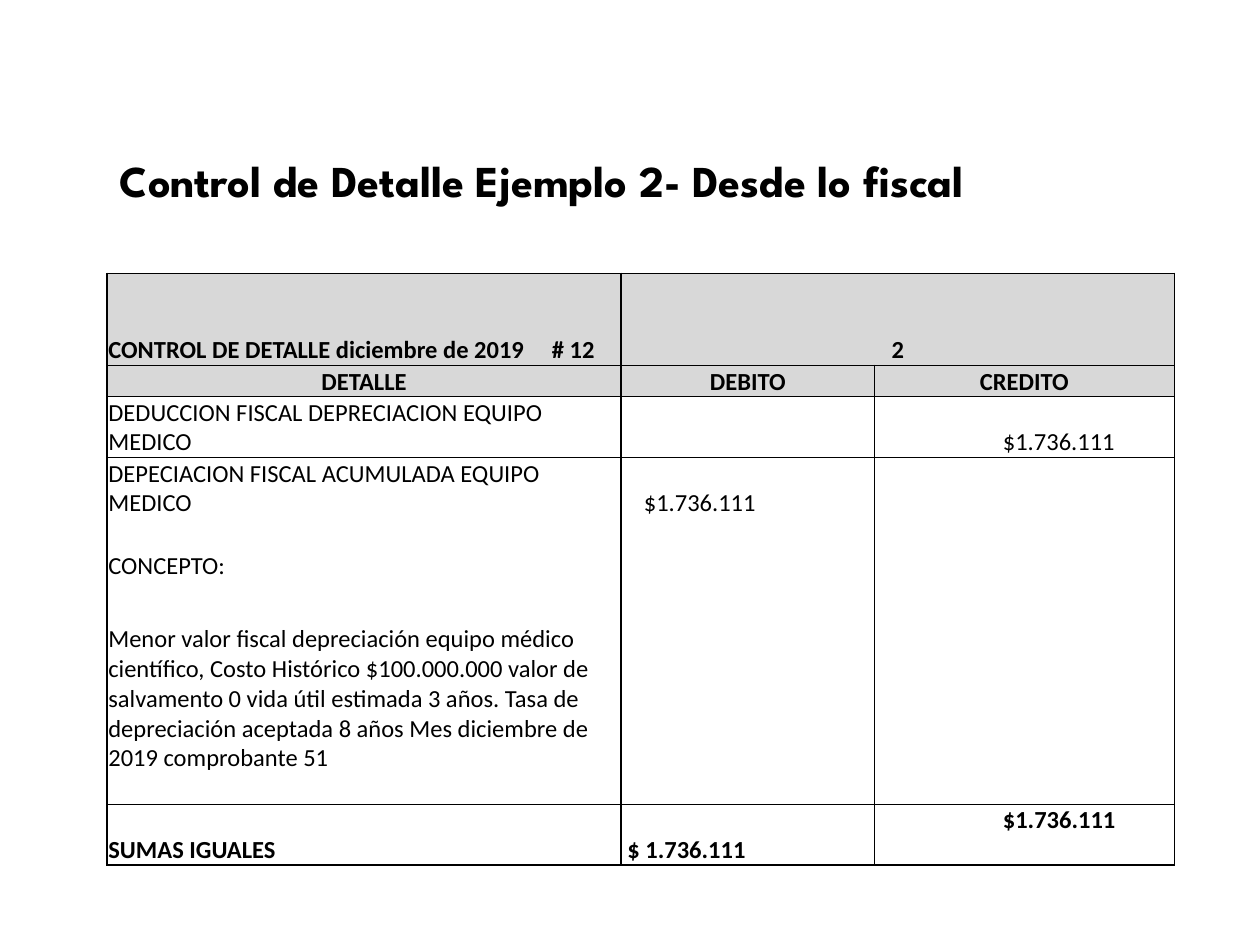
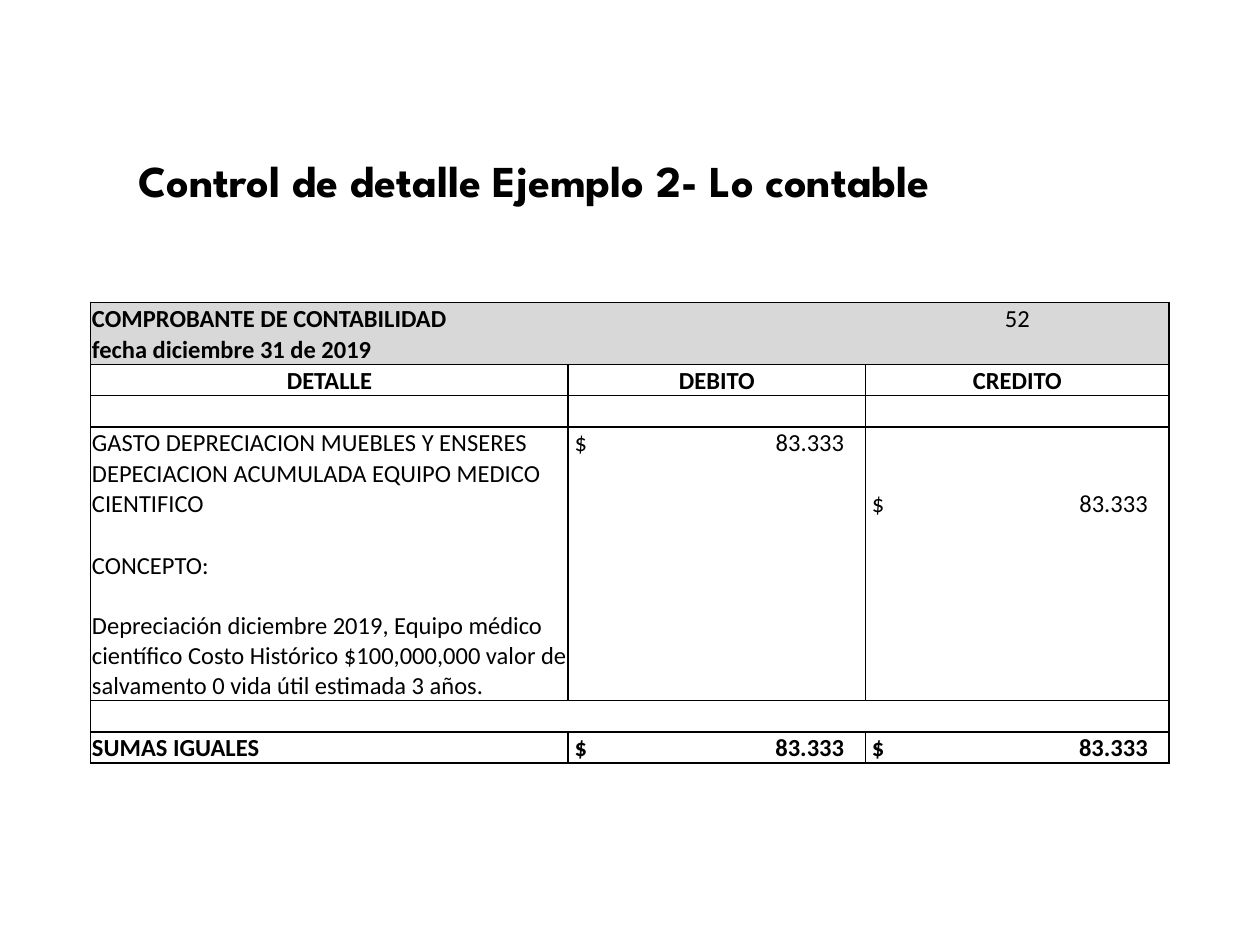
from lxml.etree import SubElement
from pptx import Presentation
from pptx.dml.color import RGBColor
from pptx.enum.text import MSO_ANCHOR, MSO_AUTO_SIZE, PP_ALIGN
from pptx.oxml.ns import qn
from pptx.util import Inches, Pt

COLORS = {"ink": "000000", "head": "D8D8D8"}
FONTS = {"title": "League Spartan", "body": "Calibri"}
PLAIN = "{2D5ABB26-0587-4C30-8999-92F81FD0307C}"
LINE = 0.24
PAIR = 2 * LINE


def write(frame, text, size=14, font="body", bold=False, align=PP_ALIGN.LEFT,
          space=None, tab=None, side="l"):
    """Fill a text frame; tab is a stop in inches, side its alignment."""
    para = frame.paragraphs[0]
    para.alignment = align
    if space:
        para.line_spacing = space
    if tab:
        stops = SubElement(para._p.get_or_add_pPr(), qn("a:tabLst"))
        SubElement(stops, qn("a:tab"), pos=str(Inches(tab)), algn=side)
    if not text:
        # Keeps an empty cell as low as a line of text
        SubElement(para._p, qn("a:endParaRPr"), sz=str(size * 100))
        return
    run = para.add_run()
    run.text = text
    run.font.size = Pt(size)
    run.font.name = FONTS[font]
    run.font.bold = bold
    run.font.color.rgb = RGBColor.from_string(COLORS["ink"])


def draw(cell, edges):
    """Rule the given edges of a cell, named by the letters L, R, T, B."""
    props = cell._tc.get_or_add_tcPr()
    for edge in "LRTB":
        if edge in edges:
            line = SubElement(props, qn(f"a:ln{edge}"), w=str(Pt(1)))
            fill = SubElement(line, qn("a:solidFill"))
            SubElement(fill, qn("a:srgbClr"), val=COLORS["ink"])


def row(*texts, height=LINE, edges="LR", outer=False, **form):
    """Describe a table row; outer drops the rules between columns."""
    cells = [t if isinstance(t, dict) else {"text": t} for t in texts]
    cells += [{"text": ""}] * (3 - len(cells))
    return {"cells": [{**form, **c} for c in cells], "height": height,
            "edges": edges, "outer": outer}


def heads(**form):
    mid = {"align": PP_ALIGN.CENTER, "bold": True}
    return row("DETALLE", "DEBITO", "CREDITO", edges="LRTB", **mid, **form)


def sum_at(text, inset, **form):
    return {"text": text, "inset": inset, **form}


def spread(text, width):
    """An amount with its sign at the left and its digits at the right."""
    return sum_at(f"$\t{text}", 0.05, tab=width - 0.22, side="r")


class Deck:
    def __init__(self):
        self.file = Presentation()
        self.file.slide_width = Inches(10)
        self.file.slide_height = Inches(7.5)
        self.slide = None

    def start(self, text, left):
        """Add a slide with its title."""
        self.slide = self.file.slides.add_slide(self.file.slide_layouts[5])
        title = self.slide.shapes.title
        title.left, title.top = Inches(left), Inches(1.31)
        title.width, title.height = Inches(9), Inches(0.38)
        frame = title.text_frame
        frame.auto_size = MSO_AUTO_SIZE.NONE
        frame.vertical_anchor = MSO_ANCHOR.BOTTOM
        write(frame, text, size=25.2, font="title", bold=True, space=0.9)

    def table(self, left, top, cols, rows):
        high = sum(r["height"] for r in rows)
        grid = self.slide.shapes.add_table(
            len(rows), len(cols), Inches(left), Inches(top),
            Inches(sum(cols)), Inches(high)).table
        grid.first_row = grid.horz_banding = False
        grid._tbl.tblPr.find(qn("a:tableStyleId")).text = PLAIN
        for col, width in zip(grid.columns, cols):
            col.width = Inches(width)
        last = len(cols) - 1
        for y, item in enumerate(rows):
            grid.rows[y].height = Inches(item["height"])
            for x, form in enumerate(item["cells"]):
                edges = item["edges"]
                if item["outer"]:
                    edges = edges.replace("L", "" if x else "L")
                    edges = edges.replace("R", "R" if x == last else "")
                self.cell(grid.cell(y, x), edges, **form)
        return grid

    def cell(self, cell, edges, text, fill=None, inset=0.01,
             anchor=MSO_ANCHOR.BOTTOM, **form):
        cell.margin_left = Inches(inset)
        cell.margin_right = cell.margin_top = Inches(0.01)
        cell.margin_bottom = 0
        cell.vertical_anchor = anchor
        draw(cell, edges)
        if fill:
            cell.fill.solid()
            cell.fill.fore_color.rgb = RGBColor.from_string(COLORS[fill])
        else:
            cell.fill.background()
        write(cell.text_frame, text, **form)


def fiscal(deck):
    deck.start("Control de Detalle Ejemplo 2- Desde lo fiscal", 0.85)
    grid = deck.table(0.85, 2.17, [4.08, 2.01, 2.38], [
        row({"text": "CONTROL DE DETALLE diciembre de 2019\t# 12", "tab": 3.52},
            {"text": "2", "align": PP_ALIGN.CENTER},
            height=0.73, edges="LRTB", fill="head", bold=True),
        heads(fill="head"),
        row("DEDUCCION FISCAL DEPRECIACION EQUIPO MEDICO", "",
            sum_at("$1.736.111", 1.02), height=PAIR, edges="LRT"),
        row("DEPECIACION FISCAL ACUMULADA EQUIPO MEDICO",
            sum_at("$1.736.111", 0.18), height=PAIR),
        row(),
        row("CONCEPTO:"),
        row("Menor valor fiscal depreciación equipo médico científico, "
            "Costo Histórico $100.000.000 valor de salvamento 0 vida útil "
            "estimada 3 años. Tasa de depreciación aceptada 8 años Mes "
            "diciembre de 2019 comprobante 51", height=1.53),
        row(edges="LRB"),
        row("SUMAS IGUALES", sum_at("$ 1.736.111", 0.05),
            sum_at("$1.736.111", 1.02, anchor=MSO_ANCHOR.TOP),
            height=PAIR, edges="LRTB", bold=True),
    ])
    grid.cell(0, 1).merge(grid.cell(0, 2))


def ledger(deck):
    cols = [3.79, 2.36, 2.41]
    debit, credit = (spread("83.333", width) for width in cols[1:])
    deck.start("Control de detalle Ejemplo 2- Lo contable", 1)
    deck.table(0.72, 2.4, cols, [
        row("COMPROBANTE DE CONTABILIDAD", "",
            {"text": "52", "bold": False, "align": PP_ALIGN.CENTER},
            edges="LRT", outer=True, fill="head", bold=True),
        row("fecha diciembre 31 de 2019", edges="LRB", outer=True,
            fill="head", bold=True),
        heads(),
        row(edges="LRT"),
        row("GASTO DEPRECIACION MUEBLES Y ENSERES", debit),
        row("DEPECIACION ACUMULADA EQUIPO MEDICO CIENTIFICO", "", credit,
            height=PAIR),
        row(),
        row("CONCEPTO:"),
        row("Depreciación diciembre 2019, Equipo médico científico Costo "
            "Histórico $100,000,000 valor de salvamento 0 vida útil "
            "estimada 3 años.", height=0.95, edges="LRB"),
        row(edges="LRTB", outer=True),
        row("SUMAS IGUALES", debit, credit, edges="LRTB", bold=True),
    ])


def main():
    deck = Deck()
    fiscal(deck)
    ledger(deck)
    deck.file.save("out.pptx")


if __name__ == "__main__":
    main()
